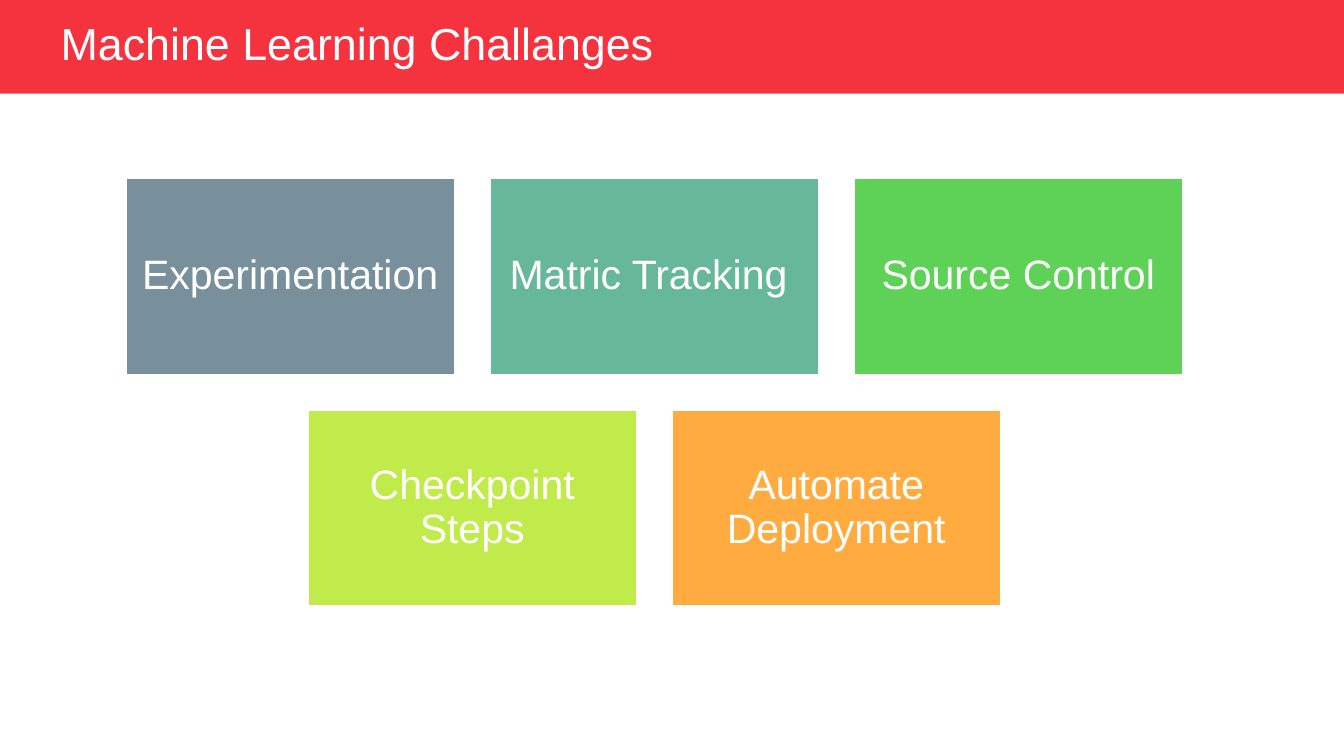
from pptx import Presentation
from pptx.dml.color import RGBColor
from pptx.enum.shapes import MSO_SHAPE as Shape
from pptx.enum.text import MSO_ANCHOR as Anchor, MSO_AUTO_SIZE as AutoSize, PP_ALIGN as Align
from pptx.util import Cm, Pt

COLORS = {
    "white": "FFFFFF",
    "red": "F5333F",
    "slate": "78909C",
    "teal": "67B89B",
    "green": "5ED257",
    "lime": "C1EA4B",
    "orange": "FFAB40",
}
SLIDE_WIDTH, SLIDE_HEIGHT = 25.4, 14.29
CARD_WIDTH, CARD_HEIGHT, GAP = 6.25, 3.75, 0.63
CARDS_LEFT, CARDS_TOP = 2.36, 3.35
CHALLENGE_ROWS = [
    [("Experimentation ", "slate"), ("Matric Tracking ", "teal"), ("Source Control", "green")],
    [("Checkpoint Steps", "lime"), ("Automate Deployment", "orange")],
]


class SlideBuilder:
    def __init__(self, slide, font="Arial"):
        self.slide = slide
        self.font = font

    def color(self, name):
        return RGBColor.from_string(COLORS[name])

    def set_text(self, shape, text, size, align):
        frame = shape.text_frame
        frame.text = text
        frame.word_wrap = True
        frame.auto_size = AutoSize.NONE
        frame.vertical_anchor = Anchor.MIDDLE
        paragraph = frame.paragraphs[0]
        paragraph.alignment = align
        paragraph.line_spacing = 0.9
        paragraph.space_before = Pt(0)
        paragraph.font.name = self.font
        paragraph.font.size = Pt(size)
        paragraph.font.color.rgb = self.color("white")
        return frame

    def rectangle(self, left, top, width, height, fill):
        shape = self.slide.shapes.add_shape(
            Shape.RECTANGLE, Cm(left), Cm(top), Cm(width), Cm(height))
        shape.shadow.inherit = False
        shape.fill.solid()
        shape.fill.fore_color.rgb = self.color(fill)
        shape.line.fill.background()
        return shape

    def header_band(self, height, fill):
        """Add a full-width band behind everything else."""
        band = self.rectangle(0, 0, SLIDE_WIDTH, height, fill)
        self.slide.shapes._spTree.insert(2, band._element)

    def title(self, text, left, top, width, height):
        title = self.slide.shapes.title
        title.left, title.top = Cm(left), Cm(top)
        title.width, title.height = Cm(width), Cm(height)
        self.set_text(title, text, 24, Align.LEFT)

    def card(self, text, left, top, fill):
        card = self.rectangle(left, top, CARD_WIDTH, CARD_HEIGHT, fill)
        card.line.color.rgb = self.color("white")
        card.line.width = Pt(2)
        frame = self.set_text(card, text, 22, Align.CENTER)
        frame.margin_left = frame.margin_right = Cm(0.23)
        frame.margin_top = frame.margin_bottom = Cm(0.23)


def main():
    prs = Presentation()
    prs.slide_width, prs.slide_height = Cm(SLIDE_WIDTH), Cm(SLIDE_HEIGHT)
    title_only = prs.slide_layouts[5]
    builder = SlideBuilder(prs.slides.add_slide(title_only))

    builder.header_band(1.77, "red")
    builder.title("Machine Learning Challanges", 0.89, 0.33, 12.14, 1.07)

    column_step, row_step = CARD_WIDTH + GAP, CARD_HEIGHT + GAP
    most_cards = max(len(row) for row in CHALLENGE_ROWS)
    for row_index, row in enumerate(CHALLENGE_ROWS):
        # Shorter rows are centred under the longest one.
        row_left = CARDS_LEFT + (most_cards - len(row)) * column_step / 2
        row_top = CARDS_TOP + row_index * row_step
        for column, (challenge, fill) in enumerate(row):
            builder.card(challenge, row_left + column * column_step, row_top, fill)

    prs.save("out.pptx")


if __name__ == "__main__":
    main()
